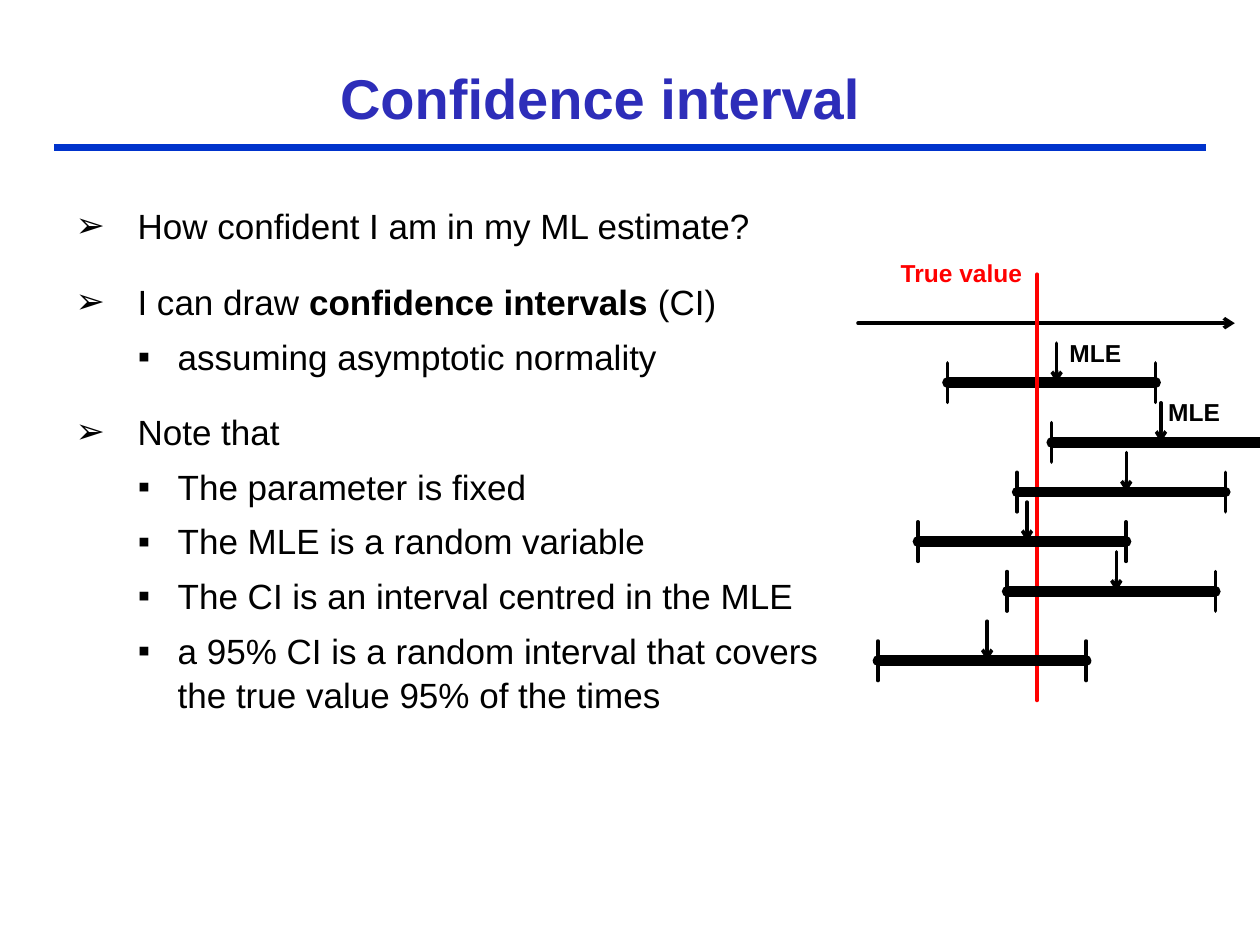
from lxml import etree
from pptx import Presentation
from pptx.dml.color import RGBColor
from pptx.enum.shapes import MSO_CONNECTOR
from pptx.enum.text import MSO_ANCHOR, MSO_AUTO_SIZE, PP_ALIGN
from pptx.oxml.ns import qn
from pptx.util import Pt

STRAIGHT = MSO_CONNECTOR.STRAIGHT
NO_FIT, GROW = MSO_AUTO_SIZE.NONE, MSO_AUTO_SIZE.SHAPE_TO_FIT_TEXT
BLACK = RGBColor(0x00, 0x00, 0x00)
RED = RGBColor(0xFF, 0x00, 0x00)
TITLE_BLUE = RGBColor(0x2D, 0x2D, 0xB9)
RULE_BLUE = RGBColor(0x00, 0x33, 0xCC)

# Content
TITLE = "Confidence interval"
POINTS = [  # level, runs of (text, bold)
    (0, [("How confident I am in my ML estimate?", False)]),
    (0, [("I can draw ", False), ("confidence intervals", True), (" (CI)", False)]),
    (1, [("assuming asymptotic normality", False)]),
    (0, [("Note that", False)]),
    (1, [("The parameter is fixed", False)]),
    (1, [("The MLE is a random variable", False)]),
    (1, [("The CI is an interval centred in the MLE", False)]),
    (1, [("a 95% CI is a random interval that covers the true value "
          "95% of the times", False)]),
]
LEVELS = [
    {"bullet": "➢", "margin": 35.4, "hang": 35.4, "before": 12},
    {"bullet": "▪", "margin": 58.3, "hang": 22.7, "before": 0},
]
INTERVALS = [(541.4, 218.7), (601, 252.8), (581.2, 281.2),
             (524.5, 309.5), (575.5, 337.9), (501.7, 377.6)]  # left end, height
LABELS = [  # text, colour, left, top, width
    ("True value", RED, 507.6, 144, 85),
    ("MLE", BLACK, 604, 189.4, 45.4),
    ("MLE", BLACK, 660.5, 223.4, 45.4),
]
CI_WIDTH, TICK_HALF, MLE_OFFSET, MLE_ARROW = 119, 11.3, 62.4, 22.6
SLIDE_WIDTH, SLIDE_HEIGHT = 720, 540


def place(shape, left, top, width, height):
    shape.left, shape.top = Pt(left), Pt(top)
    shape.width, shape.height = Pt(width), Pt(height)


def add_line(shapes, start, end, color=BLACK, weight=2, arrow=False, cap="rnd"):
    line = shapes.add_connector(STRAIGHT, *(Pt(v) for v in (*start, *end)))
    line.line.color.rgb = color
    line.line.width = Pt(weight)
    ln = line.line._get_or_add_ln()
    ln.set("cap", cap)
    if arrow:
        etree.SubElement(ln, qn("a:tailEnd"), type="arrow")
    etree.SubElement(line._element.spPr, qn("a:effectLst"))


def add_run(paragraph, text, size, color, bold):
    run = paragraph.add_run()
    run.text = text
    run.font.color.rgb = color
    for attribute, value in {"name": "Arial", "size": Pt(size), "bold": bold}.items():
        setattr(run.font, attribute, value)


def add_interval(shapes, left, height):
    group = shapes.add_group_shape().shapes
    right = min(left + CI_WIDTH, SLIDE_WIDTH)
    add_line(group, (left, height), (right, height), weight=6)
    for end in (left, right):
        if end < SLIDE_WIDTH:
            add_line(group, (end, height - TICK_HALF), (end, height + TICK_HALF))
    mle = left + MLE_OFFSET
    add_line(group, (mle, height - MLE_ARROW), (mle, height), arrow=True)


def format_point(paragraph, level):
    style = LEVELS[level]
    paragraph.level = level
    for attribute, value in {"space_before": Pt(style["before"]), "space_after": Pt(6),
                             "line_spacing": 1.05}.items():
        setattr(paragraph, attribute, value)
    properties = paragraph._p.get_or_add_pPr()
    properties.set("marL", str(Pt(style["margin"])))
    properties.set("indent", str(-Pt(style["hang"])))
    etree.SubElement(properties, qn("a:buFont"), typeface="Arial")
    etree.SubElement(properties, qn("a:buChar"), char=style["bullet"])


def main():
    deck = Presentation()
    deck.slide_width, deck.slide_height = Pt(SLIDE_WIDTH), Pt(SLIDE_HEIGHT)
    slide = deck.slides.add_slide(deck.slide_layouts[1])
    shapes = slide.shapes

    # Title and rule
    title = shapes.title
    place(title, 62, 0, 562, 78.5)
    title.text_frame.auto_size = NO_FIT
    title.text_frame.vertical_anchor = MSO_ANCHOR.BOTTOM
    heading = title.text_frame.paragraphs[0]
    heading.alignment = PP_ALIGN.CENTER
    add_run(heading, TITLE, 32, TITLE_BLUE, True)
    add_line(shapes, (31, 84.3), (689, 84.3), RULE_BLUE, 4.5, cap="flat")

    # Bulleted list
    body = slide.placeholders[1]
    place(body, 36, 112.3, 448.6, 393.8)
    frame = body.text_frame
    frame.auto_size = NO_FIT
    for index, (level, runs) in enumerate(POINTS):
        paragraph = frame.add_paragraph() if index else frame.paragraphs[0]
        format_point(paragraph, level)
        for text, bold in runs:
            add_run(paragraph, text, 20, BLACK, bold)

    # Intervals, with the axis and the true value behind all but the first
    add_interval(shapes, *INTERVALS[0])
    add_line(shapes, (490.3, 184.7), (705.6, 184.7), arrow=True)
    add_line(shapes, (592.6, 156.7), (592.6, 400.3), RED)
    for left, height in INTERVALS[1:]:
        add_interval(shapes, left, height)

    # Diagram labels
    for text, color, left, top, width in LABELS:
        label = shapes.add_textbox(Pt(left), Pt(top), Pt(width), Pt(24.5))
        label.text_frame.auto_size = GROW
        add_run(label.text_frame.paragraphs[0], text, 14, color, True)

    deck.save("out.pptx")


if __name__ == "__main__":
    main()
